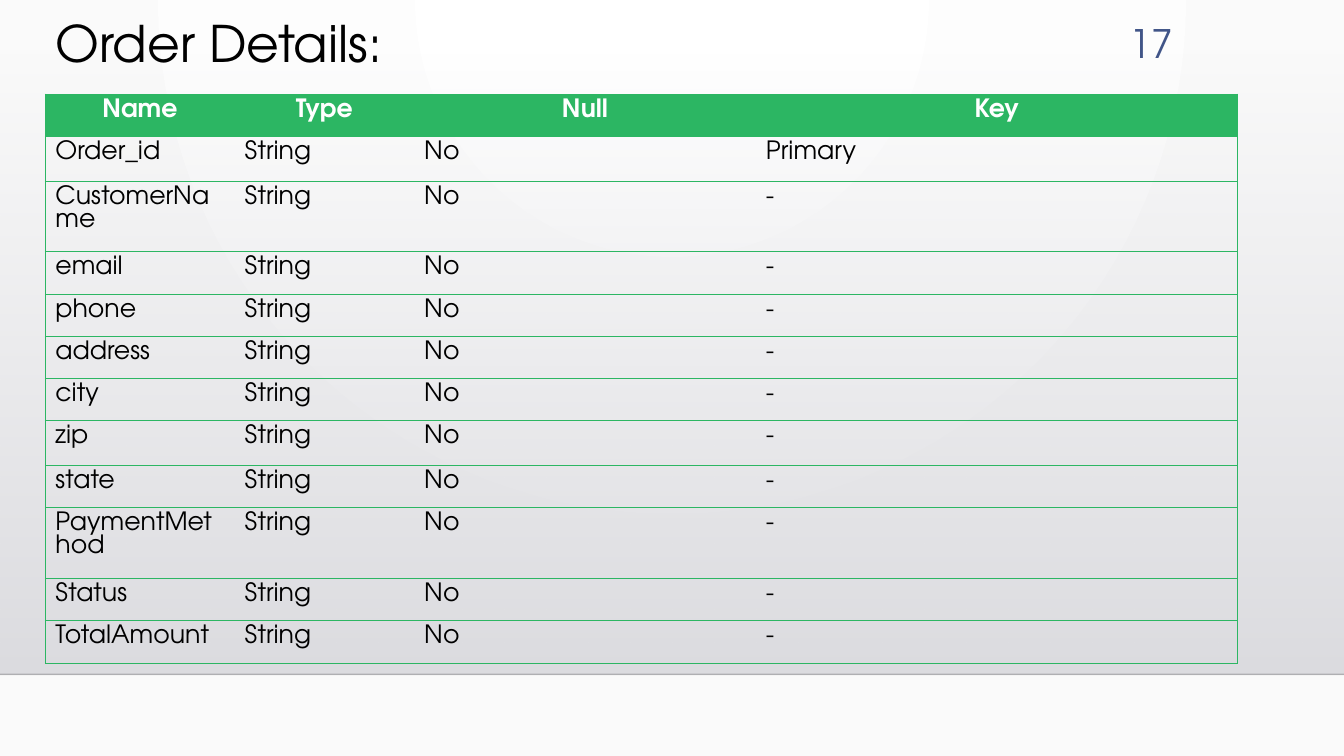
import pptx
import pptx.dml.color
import pptx.enum.shapes
import pptx.enum.text
import pptx.oxml
import pptx.oxml.ns
import pptx.util

Pt = pptx.util.Pt
RGB = pptx.dml.color.RGBColor.from_string
qn = pptx.oxml.ns.qn
ALIGN = pptx.enum.text.PP_ALIGN
MIDDLE = pptx.enum.text.MSO_ANCHOR.MIDDLE
NS = pptx.oxml.ns.nsdecls("a")
COLORS = {"green": "2CB663", "black": "000000", "white": "FFFFFF", "number": "415588",
          "edge": "FAFAFA", "band_top": "DCDCE0", "band_bottom": "DEDEE2", "rule": "000001"}
FONT = "TeX Gyre Adventor"


def write(frame, text, color, align, font_format):
    """Fill a text frame with one formatted paragraph."""
    paragraph = frame.paragraphs[0]
    paragraph.text = text
    paragraph.alignment = align
    for key, value in font_format.items():
        setattr(paragraph.font, key, value)
    paragraph.font.color.rgb = RGB(COLORS[color])
    return paragraph


def set_alpha(element, percent):
    """Give the first colour in an element an opacity."""
    color = next(element.iter(qn("a:srgbClr")))
    color.append(pptx.oxml.parse_xml(f'<a:alpha {NS} val="{percent * 1000}"/>'))


deck = pptx.Presentation()
deck.slide_width, deck.slide_height = Pt(960), Pt(540)
slide = deck.slides.add_slide(deck.slide_layouts[6])

# Background: soft circular glow
glow = slide.background.fill
glow.gradient()
for stop, color in zip(glow.gradient_stops, ("white", "edge")):
    stop.color.rgb = RGB(COLORS[color])
linear = next(slide.element.iter(qn("a:lin")))
linear.getparent().replace(linear, pptx.oxml.parse_xml(
    f'<a:path {NS} path="circle"><a:fillToRect l="43000" t="0" r="43000" b="100000"/></a:path>'))

# Grey band fading in downwards, with a thin rule below it
band = slide.shapes.add_shape(
    pptx.enum.shapes.MSO_SHAPE.RECTANGLE, 0, Pt(36.7), Pt(960), Pt(445))
band.shadow.inherit = False
band.line.fill.background()
band.fill.gradient()
band.fill.gradient_angle = 270
for stop, color in zip(band.fill.gradient_stops, ("band_top", "band_bottom")):
    stop.color.rgb = RGB(COLORS[color])
set_alpha(band.element.spPr, 0)

rule = slide.shapes.add_connector(
    pptx.enum.shapes.MSO_CONNECTOR.STRAIGHT, 0, Pt(481.7), Pt(960), Pt(481.7))
rule.line.width = Pt(1)
rule.line.color.rgb = RGB(COLORS["rule"])
set_alpha(rule.element.spPr, 20)
rule.element.spPr.append(pptx.oxml.parse_xml(f"<a:effectLst {NS}/>"))

# Slide number and title
for text, box, size, color, align in (
        ("17", (781.2, 10.8, 64, 39.6), 28, "number", ALIGN.RIGHT),
        ("Order Details:", (32.4, 5, 574.6, 51), 36, "black", ALIGN.LEFT)):
    heading = slide.shapes.add_textbox(*map(Pt, box)).text_frame
    heading.word_wrap = True
    heading.vertical_anchor = MIDDLE
    write(heading, text, color, align, {"name": FONT, "size": Pt(size)})

# Order fields
FIELDS = ["Order_id", "CustomerName", "email", "phone", "address", "city", "zip",
          "state", "PaymentMethod", "Status", "TotalAmount"]
rows = [("Name", "Type", "Null", "Key")]
rows += [(field, "String", "No", "Primary" if field == "Order_id" else "-") for field in FIELDS]
SHORT_ROW = 30.2
TALL_ROWS = {"Order_id": 32, "zip": 32, "CustomerName": 50.5, "PaymentMethod": 50.5}
heights = [TALL_ROWS.get(row[0], SHORT_ROW) for row in rows]
widths = [135.2, 128.2, 244.2, 344.2]

order_table = slide.shapes.add_table(
    len(rows), len(widths), Pt(32.4), Pt(67.2), Pt(sum(widths)), Pt(sum(heights))).table
style_id = next(order_table._tbl.iter(qn("a:tableStyleId")))
style_id.text = "{2D5ABB26-0587-4C30-8999-92F81FD0307C}"  # no style, no grid
for column, width in zip(order_table.columns, widths):
    column.width = Pt(width)

for r, row in enumerate(rows):
    order_table.rows[r].height = Pt(heights[r])
    is_header = r == 0
    for c, text in enumerate(row):
        cell = order_table.cell(r, c)
        cell.margin_top = Pt(3.6)
        cell.margin_bottom = 0
        paragraph = write(cell.text_frame, text, "white" if is_header else "black",
                          ALIGN.CENTER if is_header else ALIGN.LEFT,
                          {"name": FONT, "size": Pt(18), "bold": is_header})
        paragraph.line_spacing = Pt(16.4)
        # Green outline and row lines, no inner verticals
        sides = ["lnL"] * (c == 0) + ["lnR"] * (c == len(widths) - 1) + ["lnT", "lnB"]
        for side in sides:
            cell._tc.get_or_add_tcPr().append(pptx.oxml.parse_xml(
                f'<a:{side} {NS} w="9525"><a:solidFill><a:srgbClr val="{COLORS["green"]}"/>'
                f'</a:solidFill></a:{side}>'))
        if is_header:
            cell.fill.solid()
            cell.fill.fore_color.rgb = RGB(COLORS["green"])
        else:
            cell.fill.background()

deck.save("out.pptx")
